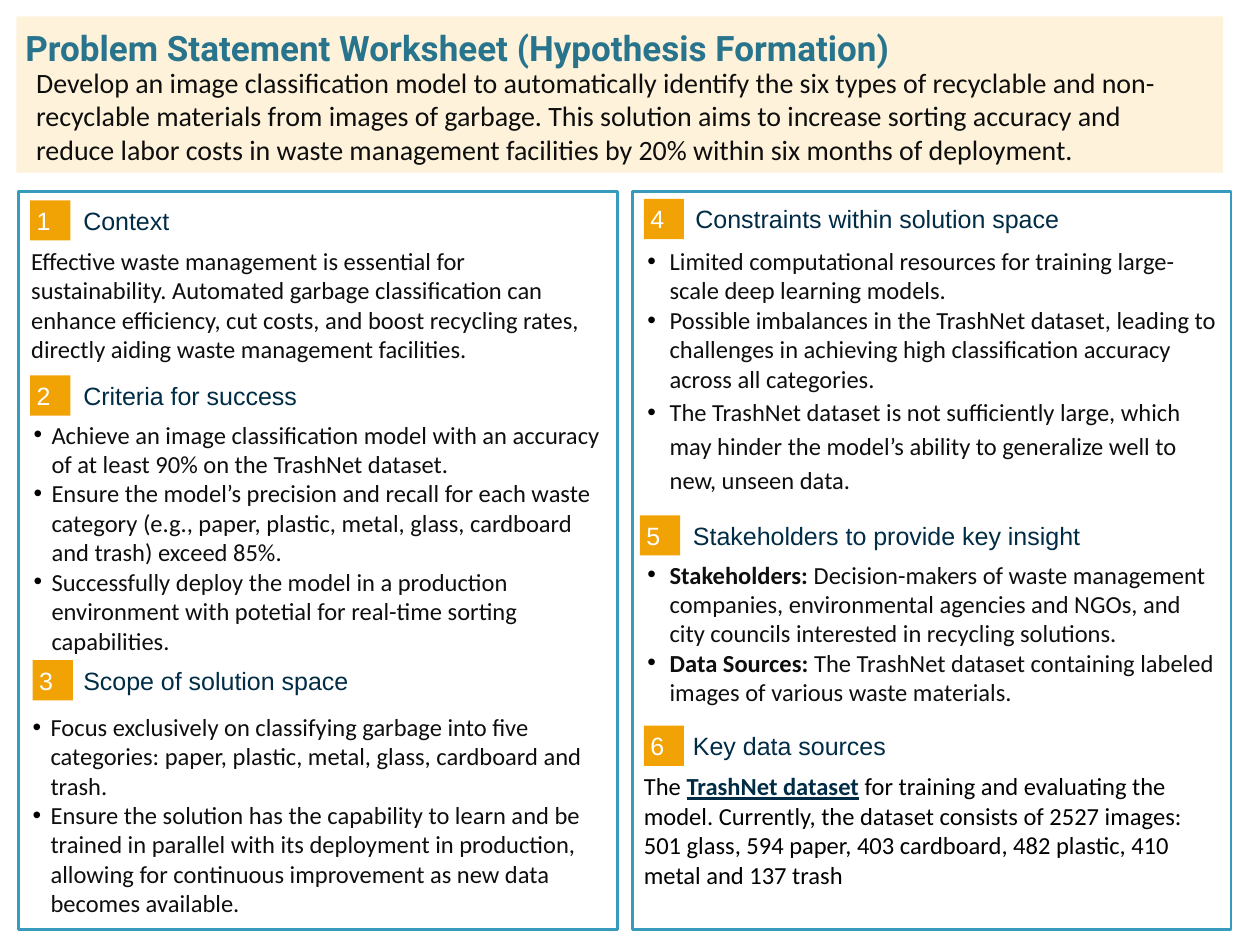
from dataclasses import dataclass
from typing import NamedTuple

from lxml.etree import SubElement
from pptx import Presentation
from pptx.dml.color import RGBColor as Rgb
from pptx.enum.shapes import MSO_SHAPE as Kind
from pptx.enum.text import MSO_ANCHOR as Anchor, MSO_AUTO_SIZE as Fit, PP_ALIGN as Align
from pptx.oxml.ns import qn
from pptx.util import Cm, Pt


@dataclass(frozen=True)
class Theme:
    white: str = "FFFFFF"
    black: str = "000000"
    ink: str = "0E0E0E"
    navy: str = "002C46"
    teal: str = "29748D"
    edge: str = "379BBD"
    amber: str = "F1A205"
    cream: str = "FEF2DA"
    body: str = "Calibri"
    label: str = "Arial"
    head: str = "Roboto"
    title: float = 20
    lead: float = 16
    mark: float = 14.3
    text: float = 14
    line: float = 1.5


class Box(NamedTuple):
    x: float
    y: float
    w: float
    h: float


class Font(NamedTuple):
    name: str
    size: float
    color: str
    bold: bool = False


class Span(NamedTuple):
    text: str
    bold: bool = False
    link: bool = False


class Para(NamedTuple):
    spans: tuple[Span, ...]
    space: float | None = None
    after: float = 0


@dataclass(frozen=True)
class Part:
    num: str
    name: str
    x: float
    y: float
    left: float
    body: Box
    paras: tuple[Para, ...]
    color: str
    dent: float = 0


T = Theme()
SIDE = 0.81
WIDE = 12.01


def plain(text: str, space: float | None = None, after: float = 0) -> Para:
    return Para((Span(text),), space, after)


def pair(key: str, text: str) -> Para:
    return Para((Span(key, True), Span(text)))


PARTS = (
    Part("1", "Context", 0.61, 4.04, 1.68, Box(0.38, 4.83, WIDE, 3.45), (
        plain("Effective waste management is essential for sustainability. Automated garbage "
              "classification can enhance efficiency, cut costs, and boost recycling rates, "
              "directly aiding waste management facilities."),
    ), T.ink),
    Part("2", "Criteria for success", 0.61, 7.57, 1.68, Box(0.43, 8.33, WIDE, 5), (
        plain("Achieve an image classification model with an accuracy of at least 90% on the "
              "TrashNet dataset."),
        plain("Ensure the model’s precision and recall for each waste category (e.g., paper, "
              "plastic, metal, glass, cardboard and trash) exceed 85%."),
        plain("Successfully deploy the model in a production environment with potetial for "
              "real-time sorting capabilities."),
    ), T.ink, 0.36),
    Part("3", "Scope of solution space", 0.66, 13.31, 1.68, Box(0.41, 14.22, WIDE, 4.5), (
        plain("Focus exclusively on classifying garbage into five categories: paper, plastic, "
              "metal, glass, cardboard and trash."),
        plain("Ensure the solution has the capability to learn and be trained in parallel with "
              "its deployment in production, allowing for continuous improvement as new data "
              "becomes available."),
    ), T.ink, 0.36),
    Part("4", "Constraints within solution space", 12.98, 4.01, 14.02,
         Box(12.8, 4.83, WIDE, 5.16), (
        plain("Limited computational resources for training large-scale deep learning models."),
        plain("Possible imbalances in the TrashNet dataset, leading to challenges in achieving "
              "high classification accuracy across all categories."),
        plain("The TrashNet dataset is not sufficiently large, which may hinder the model’s "
              "ability to generalize well to new, unseen data.", 1.15, 8),
    ), T.ink, 0.45),
    Part("5", "Stakeholders to provide key insight", 12.9, 10.39, 13.97,
         Box(12.8, 11.15, WIDE, 3), (
        pair("Stakeholders:", " Decision-makers of waste management companies, environmental "
             "agencies and NGOs, and city councils interested in recycling solutions."),
        pair("Data Sources:", " The TrashNet dataset containing labeled images of various "
             "waste materials."),
    ), T.ink, 0.45),
    Part("6", "Key data sources", 12.98, 14.63, 13.97, Box(12.73, 15.42, WIDE, 3), (
        Para((Span("The "), Span("TrashNet dataset", True, True),
              Span(" for training and evaluating the model. Currently, the dataset consists "
                   "of 2527 images:"))),
        plain("501 glass, 594 paper, 403 cardboard, 482 plastic, 410 metal and 137 trash"),
    ), T.black),
)


def style(run, font: Font) -> None:
    run.font.name = font.name
    run.font.size = Pt(font.size)
    run.font.bold = font.bold
    run.font.color.rgb = Rgb.from_string(font.color)


def frame(shape, padx: float = 0, pady: float = 0, anchor=Anchor.TOP):
    text = shape.text_frame
    text.word_wrap = True
    text.auto_size = Fit.NONE
    text.vertical_anchor = anchor
    text.margin_left = text.margin_right = Cm(padx)
    text.margin_top = text.margin_bottom = Cm(pady)
    return text


def write(text, words: str, font: Font) -> None:
    text.text = words
    para = text.paragraphs[0]
    para.alignment = Align.LEFT
    style(para.runs[0], font)


def block(slide, box: Box, fill: str, edge: str | None = None, kind=Kind.RECTANGLE):
    shape = slide.shapes.add_shape(kind, *map(Cm, box))
    shape.shadow.inherit = False
    shape.fill.solid()
    shape.fill.fore_color.rgb = Rgb.from_string(fill)
    if edge:
        shape.line.color.rgb = Rgb.from_string(edge)
        shape.line.width = Pt(T.line)
    else:
        shape.line.fill.background()
    return shape


def bullet(para, dent: float) -> None:
    props = para._p.get_or_add_pPr()
    props.set("marL", str(Cm(dent)))
    props.set("indent", str(-Cm(dent)))
    tint = SubElement(props, qn("a:buClr"))
    SubElement(tint, qn("a:srgbClr"), val=T.black)
    SubElement(props, qn("a:buFont"), typeface=T.label)
    SubElement(props, qn("a:buChar"), char="•")


def prose(slide, part: Part) -> None:
    text = frame(slide.shapes.add_textbox(*map(Cm, part.body)), 0.25, 0.13)
    for i, item in enumerate(part.paras):
        para = text.add_paragraph() if i else text.paragraphs[0]
        if item.space:
            para.line_spacing = item.space
            para.space_after = Pt(item.after)
        if part.dent:
            bullet(para, part.dent)
        for span in item.spans:
            run = para.add_run()
            run.text = span.text
            color = T.navy if span.link else part.color
            style(run, Font(T.body, T.text, color, span.bold))
            run.font.underline = span.link


def section(slide, part: Part) -> None:
    badge = block(slide, Box(part.x, part.y, SIDE, SIDE), T.amber)
    write(frame(badge, 0.13, 0.13, Anchor.MIDDLE), part.num, Font(T.label, T.mark, T.white))
    label = slide.shapes.add_textbox(Cm(part.left), Cm(part.y + 0.08), Cm(9.98), Cm(0.64))
    write(frame(label, anchor=Anchor.MIDDLE), part.name, Font(T.label, T.mark, T.navy))
    prose(slide, part)


def banner(slide) -> None:
    back = block(slide, Box(0.33, 0.33, 24.33, 3.15), T.cream, kind=Kind.RECTANGULAR_CALLOUT)
    back.adjustments[0] = 0.5
    back.adjustments[1] = 0.11
    title = slide.shapes.title
    title.left, title.top, title.width, title.height = map(Cm, Box(0.51, 0.53, 24.43, 0.86))
    write(frame(title, anchor=Anchor.MIDDLE),
          "Problem Statement Worksheet (Hypothesis Formation)",
          Font(T.head, T.title, T.teal, True))
    back.element.addnext(title.element)
    lead = slide.shapes.add_textbox(*map(Cm, Box(0.48, 1.19, 23.85, 2.29)))
    write(frame(lead, 0.25, 0.13),
          "Develop an image classification model to automatically identify the six types of "
          "recyclable and non-recyclable materials from images of garbage. This solution aims "
          "to increase sorting accuracy and reduce labor costs in waste management facilities "
          "by 20% within six months of deployment.", Font(T.body, T.lead, T.ink))


def main() -> None:
    deck = Presentation()
    deck.slide_width, deck.slide_height = Cm(25.4), Cm(19.05)
    slide = deck.slides.add_slide(deck.slide_layouts[5])
    for x in (0.38, 12.75):
        block(slide, Box(x, 3.86, 12.07, 14.88), T.white, T.edge)
    for part in PARTS:
        section(slide, part)
    banner(slide)
    deck.save("out.pptx")


if __name__ == "__main__":
    main()
